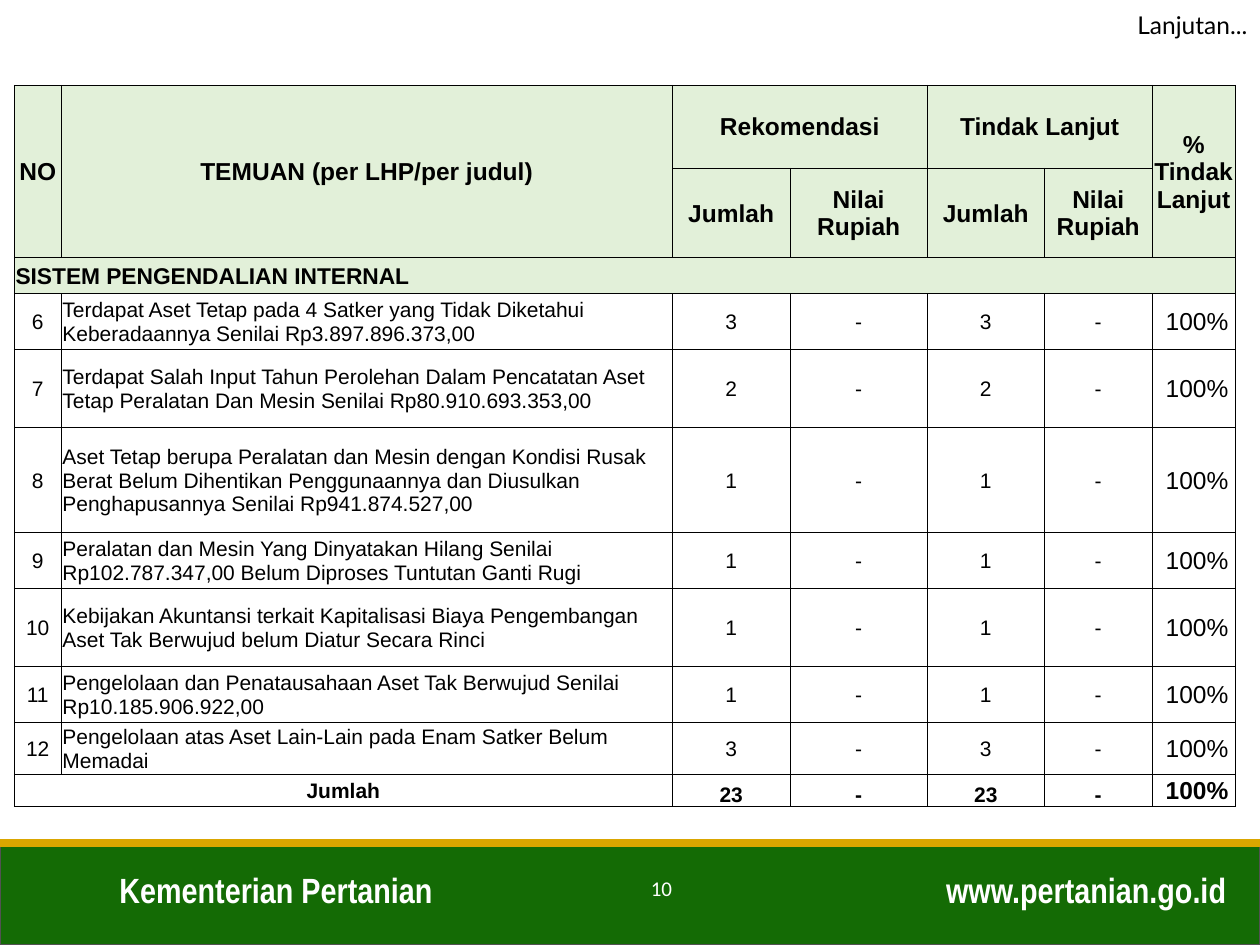
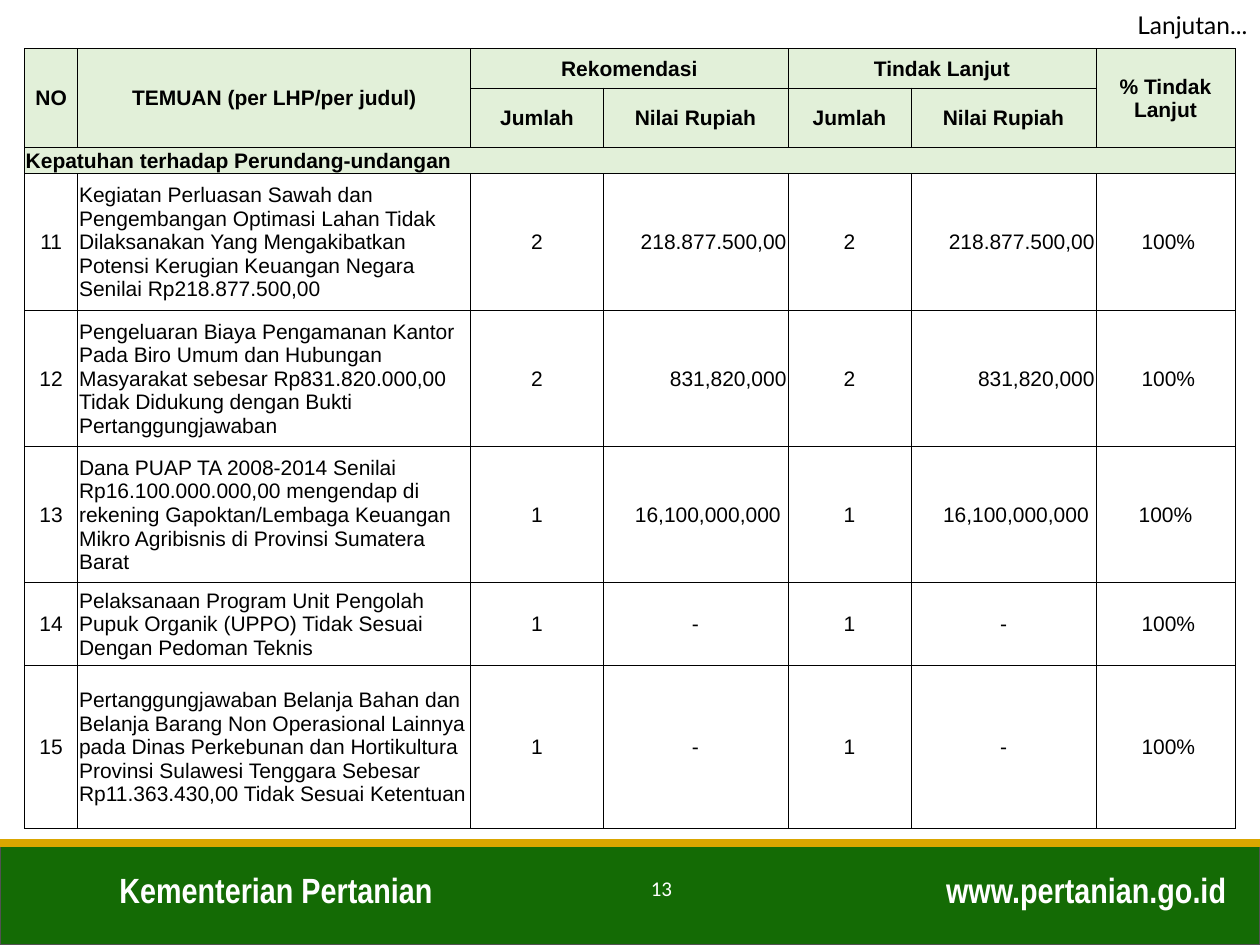
"""Build two continuation slides that list audit findings and their follow-up."""
from lxml import etree
from pptx import Presentation
from pptx.dml.color import RGBColor
from pptx.enum.shapes import MSO_CONNECTOR, MSO_SHAPE
from pptx.enum.text import MSO_ANCHOR, PP_ALIGN
from pptx.oxml.ns import qn
from pptx.util import Pt

LEFT, CENTER, RIGHT = PP_ALIGN.LEFT, PP_ALIGN.CENTER, PP_ALIGN.RIGHT
TOP, MIDDLE, BOTTOM = MSO_ANCHOR.TOP, MSO_ANCHOR.MIDDLE, MSO_ANCHOR.BOTTOM
RECT, STRAIGHT = MSO_SHAPE.RECTANGLE, MSO_CONNECTOR.STRAIGHT

W, H, BAND_TOP = 720, 540, 481.7
COLORS = {"green": "146B05", "edge": "525252", "gold": "DAA600",
          "head": "E2F0D9", "white": "FFFFFF", "black": "000000"}

CONTINUED = "Lanjutan..."
MINISTRY = "Kementerian Pertanian"
SITE = "www.pertanian.go.id"
HEADINGS = [(0, 0, 1, 0, "NO"), (0, 1, 1, 1, "TEMUAN (per LHP/per judul)"),
            (0, 2, 0, 3, "Rekomendasi"), (0, 4, 0, 5, "Tindak Lanjut"),
            (0, 6, 1, 6, "% Tindak Lanjut"),
            (1, 2, 1, 2, "Jumlah"), (1, 3, 1, 3, "Nilai Rupiah"),
            (1, 4, 1, 4, "Jumlah"), (1, 5, 1, 5, "Nilai Rupiah")]

SLIDES = [
    {"page": "10", "left": 8.2, "top": 48.7,
     "cols": [26.8, 349.2, 67.3, 78.4, 66.9, 61.6, 47.5],
     "heights": [47.4, 50.9, 20.6, 32, 44.6, 60, 32, 44.6, 32, 29.8, 18.2],
     "head_size": 14, "section_size": 13, "percent_size": 14,
     "section": "SISTEM PENGENDALIAN INTERNAL",
     "findings": [
         ("6", "Terdapat Aset Tetap pada 4 Satker yang Tidak Diketahui "
          "Keberadaannya Senilai Rp3.897.896.373,00", "3", "-", " 100%"),
         ("7", "Terdapat Salah Input Tahun Perolehan Dalam Pencatatan Aset "
          "Tetap Peralatan Dan Mesin Senilai Rp80.910.693.353,00", "2", "-", " 100%"),
         ("8", "Aset Tetap berupa Peralatan dan Mesin dengan Kondisi Rusak "
          "Berat Belum Dihentikan Penggunaannya dan Diusulkan "
          "Penghapusannya Senilai Rp941.874.527,00", "1", "-", " 100%"),
         ("9", "Peralatan dan Mesin Yang Dinyatakan Hilang Senilai "
          "Rp102.787.347,00 Belum Diproses Tuntutan Ganti Rugi", "1", "-", " 100%"),
         ("10", "Kebijakan Akuntansi terkait Kapitalisasi Biaya Pengembangan "
          "Aset Tak Berwujud belum Diatur Secara Rinci", "1", "-", " 100%"),
         ("11", "Pengelolaan dan Penatausahaan Aset Tak Berwujud Senilai "
          "Rp10.185.906.922,00", "1", "-", " 100%"),
         ("12", "Pengelolaan atas Aset Lain-Lain pada Enam Satker Belum "
          "Memadai", "3", "-", " 100%")],
     "total": ("Jumlah", "23", "-", " 100%")},
    {"page": "13", "left": 14, "top": 27.8,
     "cols": [30.5, 224.6, 75.5, 105.7, 70.4, 105.7, 79.4],
     "heights": [22.5, 33.8, 15.2, 77.9, 77.9, 77.9, 47.2, 93.4],
     "head_size": 12, "section_size": 12, "percent_size": 12,
     "section": "Kepatuhan terhadap Perundang-undangan",
     "findings": [
         ("11", "Kegiatan Perluasan Sawah dan Pengembangan Optimasi Lahan "
          "Tidak Dilaksanakan Yang Mengakibatkan Potensi Kerugian Keuangan "
          "Negara Senilai Rp218.877.500,00", "2", "218.877.500,00", " 100%"),
         ("12", "Pengeluaran Biaya Pengamanan Kantor Pada Biro Umum dan "
          "Hubungan Masyarakat sebesar Rp831.820.000,00 Tidak Didukung "
          "dengan Bukti Pertanggungjawaban", "2", "831,820,000", " 100%"),
         ("13", "Dana PUAP TA 2008-2014 Senilai Rp16.100.000.000,00 "
          "mengendap di rekening Gapoktan/Lembaga Keuangan Mikro Agribisnis "
          "di Provinsi Sumatera Barat", "1", "16,100,000,000 ", "100%"),
         ("14", "Pelaksanaan Program Unit Pengolah Pupuk Organik (UPPO) "
          "Tidak Sesuai Dengan Pedoman Teknis", "1", "-", " 100%"),
         ("15", "Pertanggungjawaban Belanja Bahan dan Belanja Barang Non "
          "Operasional Lainnya pada Dinas Perkebunan dan Hortikultura "
          "Provinsi Sulawesi Tenggara Sebesar Rp11.363.430,00 Tidak Sesuai "
          "Ketentuan", "1", "-", " 100%")],
     "total": None},
]


def rgb(name):
    return RGBColor.from_string(COLORS[name])


def write(tf, text, size=12, font="Arial", color="black", bold=False, align=LEFT):
    tf.word_wrap = True
    p = tf.paragraphs[0]
    p.alignment = align
    r = p.add_run()
    r.text = text
    r.font.size, r.font.name, r.font.bold = Pt(size), font, bold
    r.font.color.rgb = rgb(color)


def add_text(s, x, y, w, h, text, anchor=TOP, **fmt):
    tf = s.shapes.add_textbox(Pt(x), Pt(y), Pt(w), Pt(h)).text_frame
    tf.vertical_anchor = anchor
    write(tf, text, **fmt)


def add_frame(s, page):
    band = s.shapes.add_shape(RECT, 0, Pt(BAND_TOP), Pt(W), Pt(H - BAND_TOP))
    band.shadow.inherit = False
    band.fill.solid()
    band.fill.fore_color.rgb = rgb("green")
    band.line.color.rgb = rgb("edge")
    band.line.width = Pt(1)
    footer = dict(size=20, font="Arial Narrow", color="white", bold=True)
    add_text(s, 61.2, 492.5, 263.5, 31.5, MINISTRY, **footer)
    add_text(s, 507.6, 492.5, 200.2, 31.5, SITE, align=RIGHT, **footer)
    stripe = s.shapes.add_connector(STRAIGHT, 0, Pt(BAND_TOP), Pt(W), Pt(BAND_TOP))
    stripe.line.color.rgb = rgb("gold")
    stripe.line.width = Pt(4.5)
    etree.SubElement(stripe._element.spPr, qn("a:effectLst"))
    add_text(s, 360, 496.8, 36, 31, page, font="Calibri", color="white", align=CENTER)
    add_text(s, 598.3, 2.2, 121.7, 24.5, CONTINUED, size=14, font="Lato", align=RIGHT)


def style_cell(cell, fill):
    cell.margin_left = cell.margin_right = cell.margin_top = Pt(0.72)
    cell.margin_bottom = 0
    cell.vertical_anchor = MIDDLE
    tc_pr = cell._tc.get_or_add_tcPr()
    for side in ("lnL", "lnR", "lnT", "lnB"):
        ln = etree.SubElement(tc_pr, qn(f"a:{side}"), w=str(Pt(0.5)))
        solid = etree.SubElement(ln, qn("a:solidFill"))
        etree.SubElement(solid, qn("a:srgbClr"), val=COLORS["black"])
    cell.fill.solid()
    cell.fill.fore_color.rgb = rgb(fill)


def add_findings(s, data):
    cols, heights = data["cols"], data["heights"]
    table = s.shapes.add_table(len(heights), len(cols), Pt(data["left"]), Pt(data["top"]),
                               Pt(sum(cols)), Pt(sum(heights))).table
    table.first_row = table.horz_banding = False
    for col, width in zip(table.columns, cols):
        col.width = Pt(width)
    for i, height in enumerate(heights):
        table.rows[i].height = Pt(height)
        for j in range(len(cols)):
            style_cell(table.cell(i, j), "head" if i < 3 else "white")

    def put(row, col, text, **fmt):
        write(table.cell(row, col).text_frame, text, **fmt)

    def put_figures(row, count, value, percent, bold=False):
        for col in (2, 4):
            put(row, col, count, align=CENTER, bold=bold)
            put(row, col + 1, value, align=CENTER if value == "-" else RIGHT, bold=bold)
        put(row, 6, percent, size=data["percent_size"], align=CENTER, bold=bold)

    for top, left, bottom, right, text in HEADINGS:
        if (top, left) != (bottom, right):
            table.cell(top, left).merge(table.cell(bottom, right))
        put(top, left, text, size=data["head_size"], bold=True, align=CENTER)
    table.cell(2, 0).merge(table.cell(2, 6))
    put(2, 0, data["section"], size=data["section_size"], bold=True)

    for row, (number, finding, *figures) in enumerate(data["findings"], 3):
        put(row, 0, number, align=CENTER)
        put(row, 1, finding)
        put_figures(row, *figures)
    if data["total"]:
        last = len(heights) - 1
        label, *figures = data["total"]
        table.cell(last, 0).merge(table.cell(last, 1))
        put(last, 0, label, bold=True, align=CENTER)
        put_figures(last, *figures, bold=True)
        for col in range(2, 6):
            table.cell(last, col).vertical_anchor = BOTTOM


def main():
    prs = Presentation()
    prs.slide_width, prs.slide_height = Pt(W), Pt(H)
    for data in SLIDES:
        s = prs.slides.add_slide(prs.slide_layouts[6])
        add_frame(s, data["page"])
        add_findings(s, data)
    prs.save("out.pptx")


if __name__ == "__main__":
    main()
